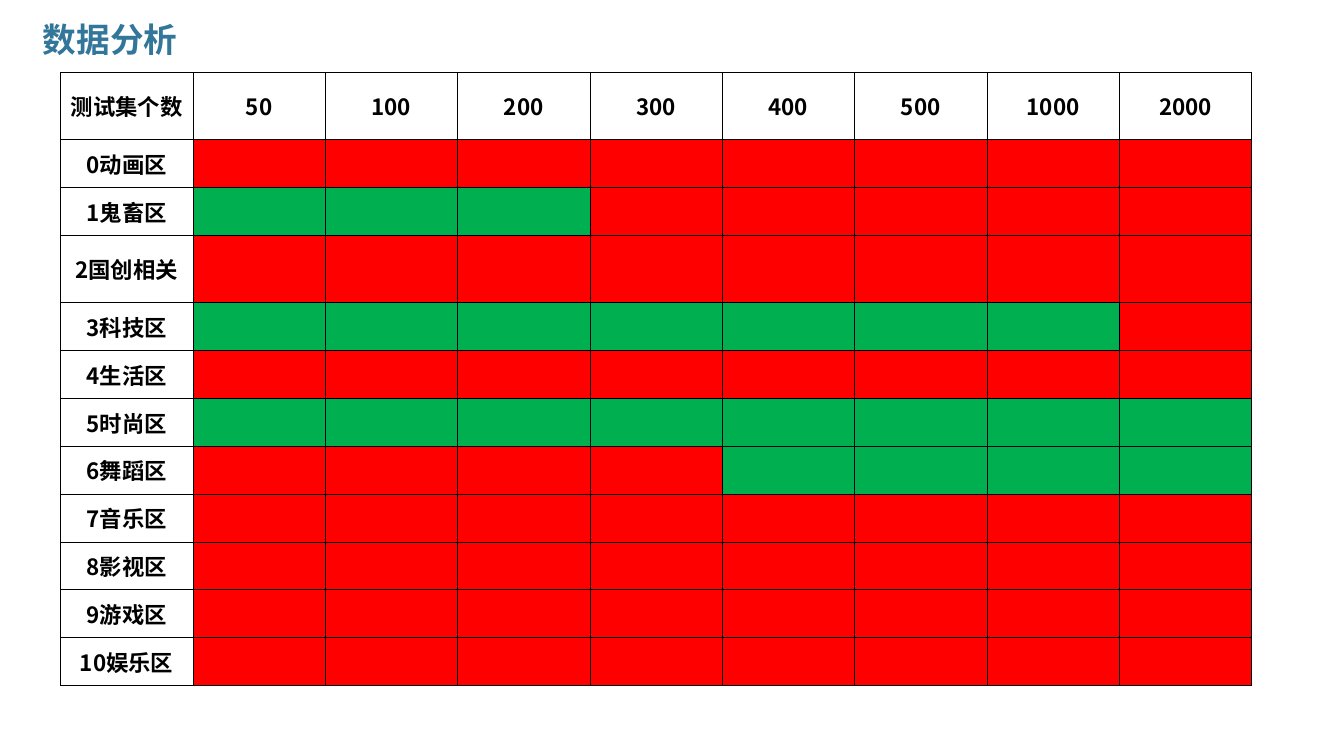
from dataclasses import dataclass

from pptx import Presentation
from pptx.dml.color import RGBColor
from pptx.enum import text
from pptx.oxml import parse_xml
from pptx.oxml import ns
from pptx.util import Pt


@dataclass(frozen=True)
class Theme:
    font: str = "Noto Sans CJK SC"
    title: str = "32769A"
    ink: str = "000000"
    hit: str = "00B050"
    miss: str = "FF0000"
    title_size: float = 24
    cell_size: float = 16
    inner_line: float = 0.5
    outer_line: float = 0.75


THEME = Theme()
SAMPLE_SIZES = [50, 100, 200, 300, 400, 500, 1000, 2000]
# Zone name and one mark per sample size: G for green, R for red
ZONES = [
    ("动画区", "RRRRRRRR"),
    ("鬼畜区", "GGGRRRRR"),
    ("国创相关", "RRRRRRRR"),
    ("科技区", "GGGGGGGR"),
    ("生活区", "RRRRRRRR"),
    ("时尚区", "GGGGGGGG"),
    ("舞蹈区", "RRRRGGGG"),
    ("音乐区", "RRRRRRRR"),
    ("影视区", "RRRRRRRR"),
    ("游戏区", "RRRRRRRR"),
    ("娱乐区", "RRRRRRRR"),
]
TALL_ROWS = {0, 3}
TALL, NORMAL = 48, 34.2


def write(tf, words, size, color, align):
    p = tf.paragraphs[0]
    p.alignment = align
    r = p.add_run()
    r.text = words
    for name, value in {"size": Pt(size), "bold": True, "name": THEME.font}.items():
        setattr(r.font, name, value)
    r.font.color.rgb = RGBColor.from_string(color)
    ea = parse_xml(f'<a:ea {ns.nsdecls("a")} typeface="{THEME.font}"/>')
    r.font._element.find(ns.qn("a:latin")).addnext(ea)


def add_title(s, words, left, top, width, height):
    sp = s.shapes.title
    box = {"left": left, "top": top, "width": width, "height": height}
    for name, value in box.items():
        setattr(sp, name, Pt(value))
    tf = sp.text_frame
    frame = {"word_wrap": True, "vertical_anchor": text.MSO_ANCHOR.TOP,
             "auto_size": text.MSO_AUTO_SIZE.SHAPE_TO_FIT_TEXT}
    for name, value in frame.items():
        setattr(tf, name, value)
    write(tf, words, THEME.title_size, THEME.title, text.PP_ALIGN.LEFT)


def set_borders(cell, first, last):
    """Draw the four cell edges, heavier at the left and right of the table."""
    widths = {"L": THEME.outer_line if first else THEME.inner_line,
              "R": THEME.outer_line if last else THEME.inner_line,
              "T": THEME.inner_line, "B": THEME.inner_line}
    tc_pr = cell._tc.get_or_add_tcPr()
    for side, width in widths.items():
        tc_pr.append(parse_xml(
            f'<a:ln{side} {ns.nsdecls("a")} w="{int(Pt(width))}"><a:solidFill>'
            f'<a:srgbClr val="{THEME.ink}"/></a:solidFill></a:ln{side}>'))


def add_result_table(s, left, top, width):
    header = ["测试集个数", *map(str, SAMPLE_SIZES)]
    grid = [header] + [[f"{i}{zone}", *marks] for i, (zone, marks) in enumerate(ZONES)]
    heights = [TALL if i in TALL_ROWS else NORMAL for i in range(len(grid))]
    table = s.shapes.add_table(len(grid), len(header), Pt(left), Pt(top),
                               Pt(width), Pt(sum(heights))).table
    table.first_row = table.horz_banding = False
    for column in table.columns:
        column.width = Pt(width / len(header))
    fills = {"G": THEME.hit, "R": THEME.miss}
    for i, values in enumerate(grid):
        table.rows[i].height = Pt(heights[i])
        for j, value in enumerate(values):
            cell = table.cell(i, j)
            cell.margin_left = cell.margin_right = Pt(4)
            cell.vertical_anchor = text.MSO_ANCHOR.MIDDLE
            set_borders(cell, j == 0, j == len(header) - 1)
            if value in fills:
                cell.fill.solid()
                cell.fill.fore_color.rgb = RGBColor.from_string(fills[value])
            else:
                cell.fill.background()
                write(cell.text_frame, value, THEME.cell_size, THEME.ink,
                      text.PP_ALIGN.CENTER)


def main():
    prs = Presentation()
    prs.slide_width, prs.slide_height = Pt(960), Pt(540)
    s = prs.slides.add_slide(prs.slide_layouts[5])
    add_title(s, "数据分析", 23.5, 10, 239, 36)
    add_result_table(s, 43.2, 51.8, 851)
    prs.save("out.pptx")


if __name__ == "__main__":
    main()
